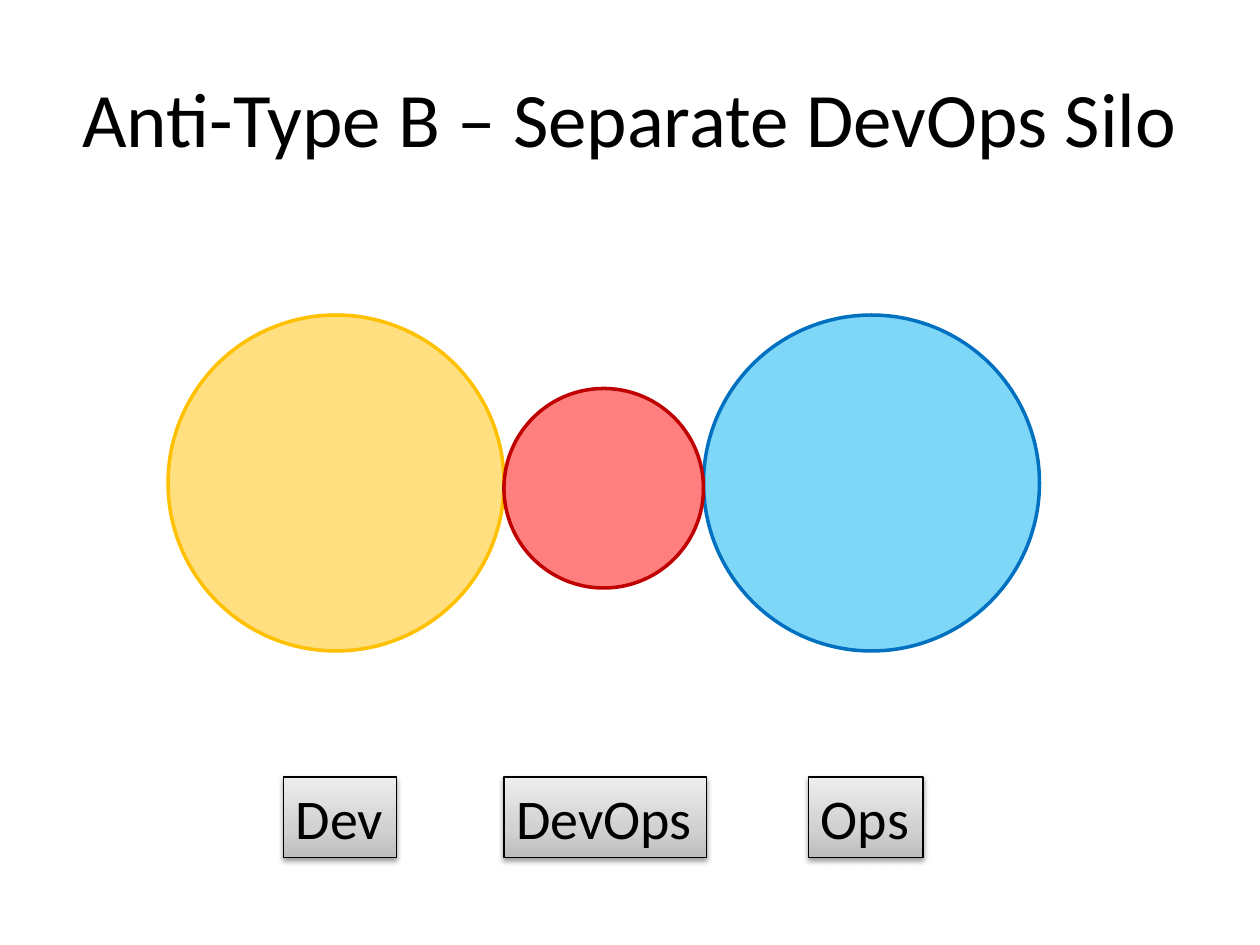
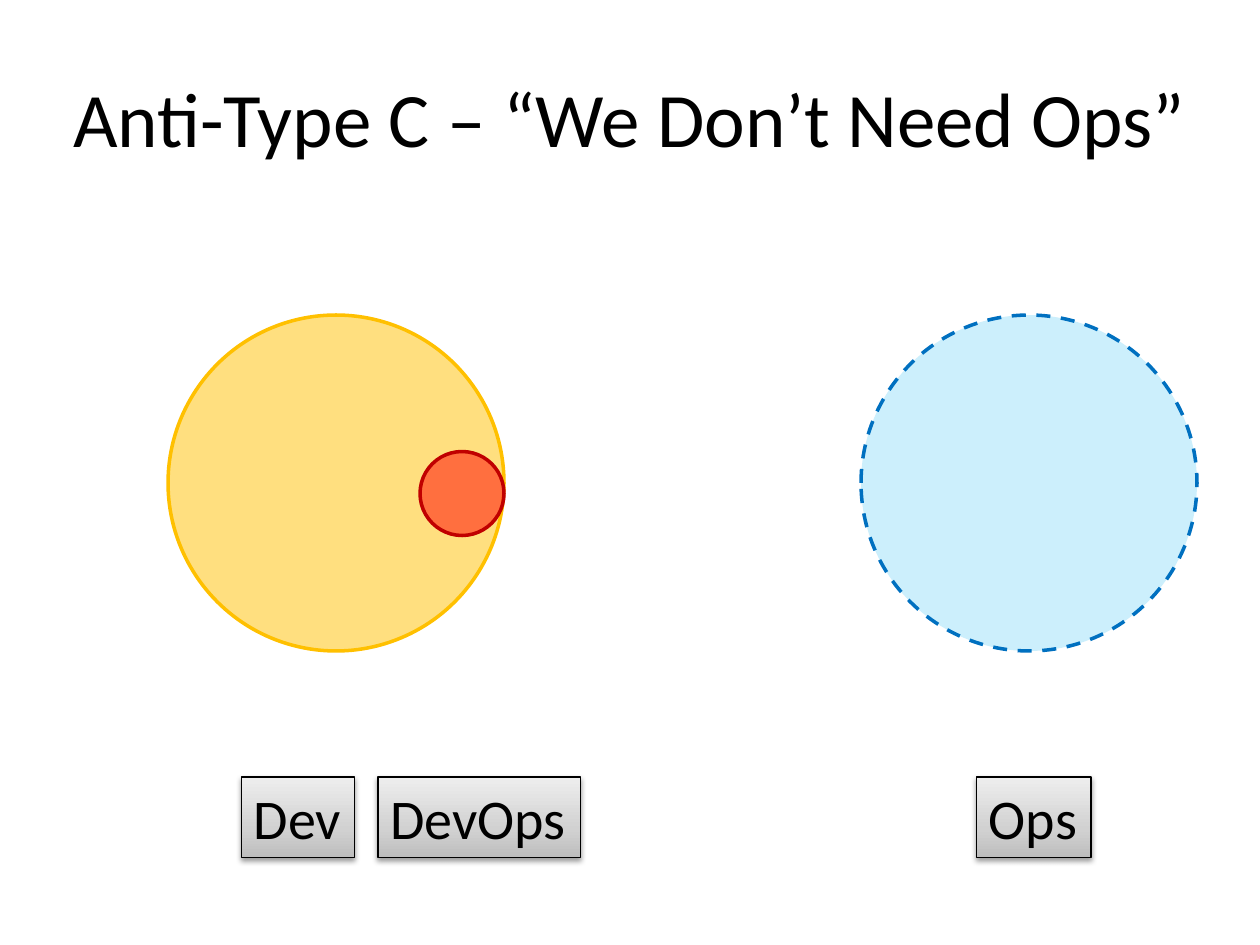
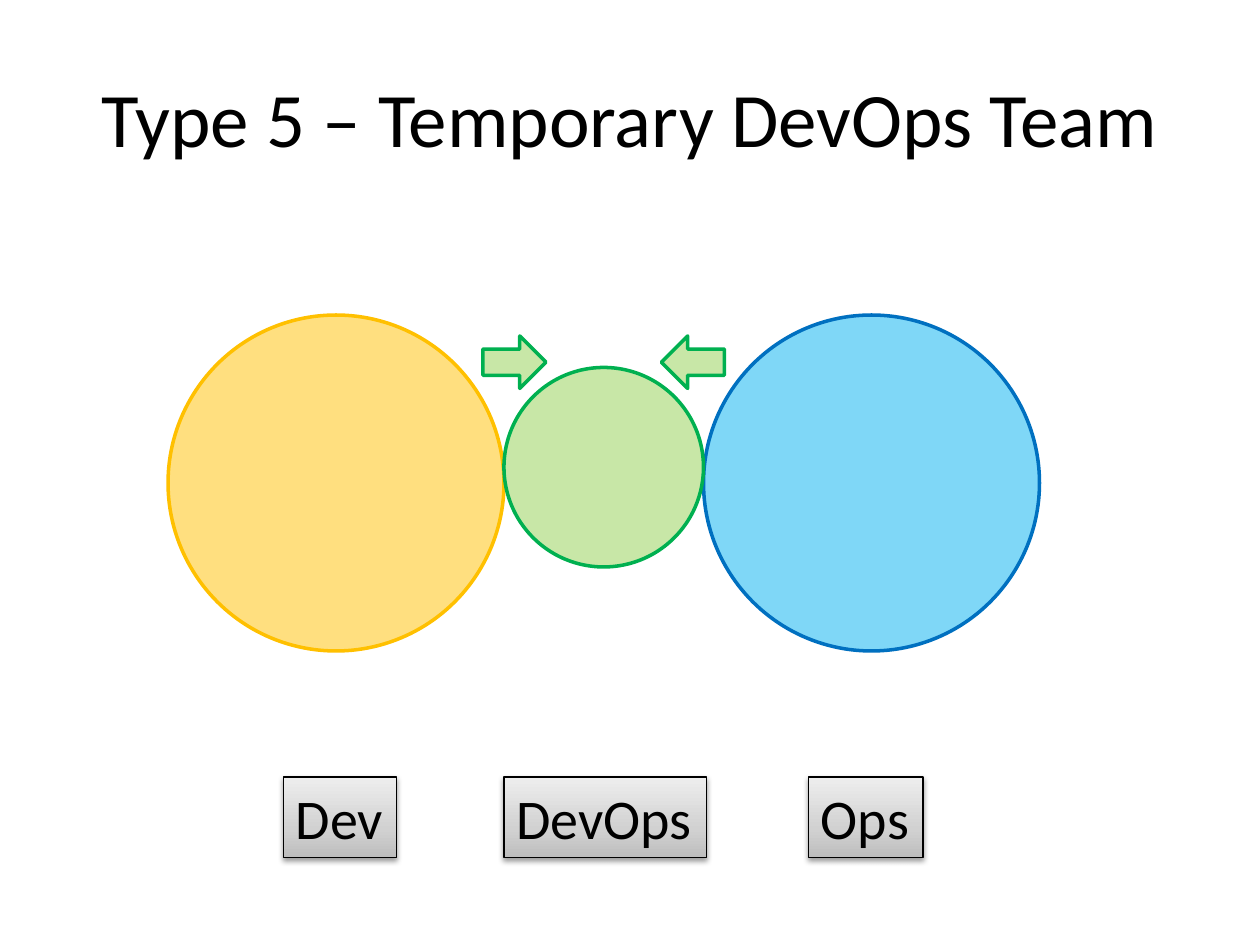
from dataclasses import dataclass

from lxml import etree
from pptx import Presentation
from pptx.dml.color import RGBColor
from pptx.enum.dml import MSO_LINE
from pptx.enum.shapes import MSO_SHAPE
from pptx.enum.text import MSO_ANCHOR, MSO_AUTO_SIZE, PP_ALIGN
from pptx.oxml import parse_xml
from pptx.oxml.ns import nsdecls, qn
from pptx.util import Inches, Pt

CIRCLE, ARROW, BOX = MSO_SHAPE.OVAL, MSO_SHAPE.RIGHT_ARROW, MSO_SHAPE.RECTANGLE
DASH = MSO_LINE.DASH
TOP, MIDDLE = MSO_ANCHOR.TOP, MSO_ANCHOR.MIDDLE
LEFT, CENTER = PP_ALIGN.LEFT, PP_ALIGN.CENTER
GROW = MSO_AUTO_SIZE.SHAPE_TO_FIT_TEXT


@dataclass(frozen=True)
class Theme:
    font: str = "Calibri"
    title_size: int = 44
    label_size: int = 32
    outline: float = 2
    label_outline: float = 0.75
    ink: str = "000000"
    dev: tuple = ("FFC000", "FFC000")
    ops: tuple = ("00B0F0", "0070C0")
    silo: tuple = ("FF0000", "C00000")
    team: tuple = ("92D050", "00B050")
    label_stops: tuple = ((0, "BDBDBD"), (35, "D1D1D1"), (100, "EEEEEE"))


theme = Theme()
deck = Presentation()
deck.slide_width, deck.slide_height = Inches(10), Inches(7.5)
COLUMN = deck.slide_width / 120
ROW = deck.slide_height / 90
TEAM_ROW, TEAM_SIZE = 30, 32
LABEL_ROW, LABEL_HEIGHT = 74, 7.7
LABEL_WIDTHS = {"Dev": 10.8, "Ops": 10.9, "DevOps": 19.3}

stops = "".join(
    f'<a:gs pos="{share * 1000}"><a:srgbClr val="{color}"/></a:gs>'
    for share, color in theme.label_stops
)
LABEL_GRADIENT = (
    f'<a:gradFill {nsdecls("a")} rotWithShape="1"><a:gsLst>{stops}</a:gsLst>'
    '<a:lin ang="16200000" scaled="0"/></a:gradFill>'
)
LABEL_SHADOW = (
    f'<a:effectLst {nsdecls("a")}>'
    '<a:outerShdw blurRad="40000" dist="20000" dir="5400000" rotWithShape="0">'
    f'<a:srgbClr val="{theme.ink}"><a:alpha val="38000"/></a:srgbClr>'
    '</a:outerShdw></a:effectLst>'
)


def add_figure(slide, preset, column, row, width, height, colors, opacity=50):
    figure = slide.shapes.add_shape(
        preset, round(column * COLUMN), round(row * ROW),
        round(width * COLUMN), round(height * ROW))
    figure.shadow.inherit = False
    figure.fill.solid()
    figure.fill.fore_color.rgb = RGBColor.from_string(colors[0])
    tint = figure._element.spPr.find(qn("a:solidFill")).find(qn("a:srgbClr"))
    etree.SubElement(tint, qn("a:alpha")).set("val", str(opacity * 1000))
    figure.line.color.rgb = RGBColor.from_string(colors[1])
    figure.line.width = Pt(theme.outline)
    return figure


def write(frame, text, size, alignment, anchor):
    frame.vertical_anchor = anchor
    paragraph = frame.paragraphs[0]
    paragraph.alignment = alignment
    run = paragraph.add_run()
    run.text = text
    run.font.name = theme.font
    run.font.size = Pt(size)
    run.font.color.rgb = RGBColor.from_string(theme.ink)


topologies = [
    {"title": "Anti-Type B – Separate DevOps Silo", "margin": 6,
     "ops": 67, "ops_opacity": 50, "devops": (48, 37, 19), "devops_colors": theme.silo,
     "labels": {"Dev": 27, "Ops": 77, "DevOps": 48}, "arrows": []},
    {"title": "Anti-Type C – “We Don’t Need Ops”", "margin": 3,
     "ops": 82, "ops_opacity": 20, "devops": (40, 43, 8), "devops_colors": theme.silo,
     "labels": {"Dev": 23, "Ops": 93, "DevOps": 36}, "arrows": []},
    {"title": "Type 5 – Temporary DevOps Team", "margin": 6,
     "ops": 67, "ops_opacity": 50, "devops": (48, 35, 19), "devops_colors": theme.team,
     "labels": {"Dev": 27, "Ops": 77, "DevOps": 48}, "arrows": [(46, False), (63, True)]},
]

for topology in topologies:
    slide = deck.slides.add_slide(deck.slide_layouts[5])
    title = slide.shapes.title
    title.left, title.top = round(topology["margin"] * COLUMN), round(3.6 * ROW)
    title.width, title.height = round((120 - 2 * topology["margin"]) * COLUMN), round(15 * ROW)
    write(title.text_frame, topology["title"], theme.title_size, CENTER, MIDDLE)

    add_figure(slide, CIRCLE, 16, TEAM_ROW, TEAM_SIZE, TEAM_SIZE, theme.dev)
    ops = add_figure(slide, CIRCLE, topology["ops"], TEAM_ROW, TEAM_SIZE, TEAM_SIZE,
                     theme.ops, topology["ops_opacity"])
    if topology["ops_opacity"] < 50:
        ops.line.dash_style = DASH

    for name, column in topology["labels"].items():
        label = slide.shapes.add_shape(
            BOX, round(column * COLUMN), round(LABEL_ROW * ROW),
            round(LABEL_WIDTHS[name] * COLUMN), round(LABEL_HEIGHT * ROW))
        label._element.spPr.append(parse_xml(LABEL_GRADIENT))
        label.line.color.rgb = RGBColor.from_string(theme.ink)
        label.line.width = Pt(theme.label_outline)
        label._element.spPr.append(parse_xml(LABEL_SHADOW))
        label.text_frame.word_wrap = False
        label.text_frame.auto_size = GROW
        write(label.text_frame, name, theme.label_size, LEFT, TOP)

    column, row, size = topology["devops"]
    add_figure(slide, CIRCLE, column, row, size, size, topology["devops_colors"])

    for column, mirrored in topology["arrows"]:
        arrow = add_figure(slide, ARROW, column, 32, 6, 5, theme.team)
        if mirrored:
            arrow._element.spPr.find(qn("a:xfrm")).set("flipH", "1")

deck.save("out.pptx")
